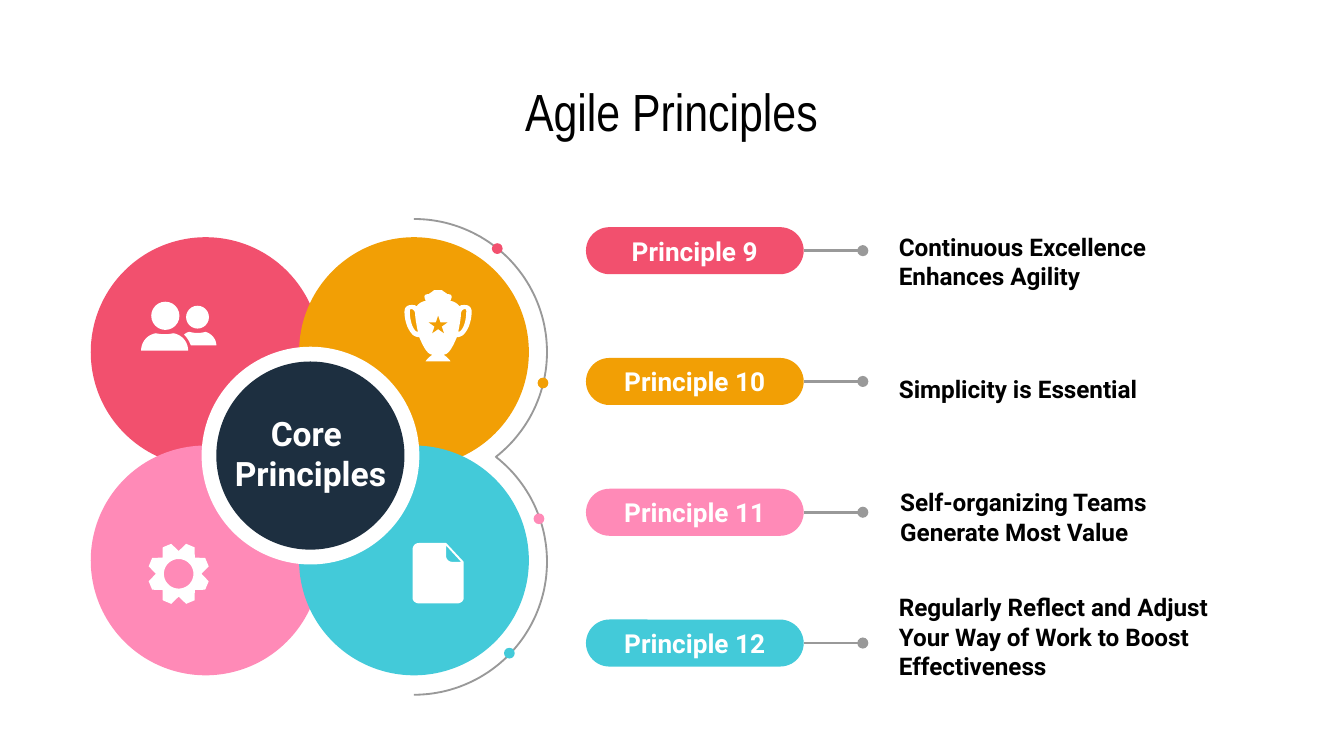
from math import cos, radians, sin

from lxml import etree
from pptx import Presentation
from pptx.dml.color import RGBColor
from pptx.enum.shapes import MSO_CONNECTOR, MSO_SHAPE
from pptx.enum.text import MSO_ANCHOR, PP_ALIGN
from pptx.oxml.ns import qn
from pptx.util import Inches, Pt

OVAL, PILL, STAR = MSO_SHAPE.OVAL, MSO_SHAPE.ROUNDED_RECTANGLE, MSO_SHAPE.STAR_5_POINT
STRAIGHT = MSO_CONNECTOR.STRAIGHT
LEFT, CENTER, MIDDLE = PP_ALIGN.LEFT, PP_ALIGN.CENTER, MSO_ANCHOR.MIDDLE

# Content
TITLE = "Agile Principles"
CORE = ["Core ", "Principles"]
# label, colour, description, description left and top, dot centre on the arc
PRINCIPLES = [
    ("Principle 9", "red", "Continuous Excellence Enhances Agility", (6.59, 1.69), (3.70, 1.85)),
    ("Principle 10", "orange", "Simplicity is Essential", (6.59, 2.64), (4.04, 2.85)),
    ("Principle 11", "pink", "Self-organizing Teams Generate Most Value", (6.60, 3.59), (4.01, 3.86)),
    ("Principle 12", "teal", "Regularly Reflect and Adjust Your Way of Work to Boost Effectiveness",
     (6.59, 4.48), (3.79, 4.86)),
]
COLORS = {"red": "F2506E", "orange": "F29F05", "pink": "FF8AB7", "teal": "43CAD9",
          "navy": "1D2F40", "gray": "999999", "white": "FFFFFF", "black": "000000"}
FONT, TITLE_FONT = "Roboto", "Arial Narrow"

# Geometry
PETAL_X, PETAL_Y, PETAL_D = (1.53, 3.08), (2.62, 4.17), 1.71
HUB = (2.31, 3.39)
ARC_R, ARC_SWEEP, ARC_MIDDLE = 0.99, 142, 3.4
PILL_X, PILL_Y, PILL_W, PILL_H = 4.36, 1.69, 1.62, 0.35
PITCH = (4.61 - PILL_Y) / (len(PRINCIPLES) - 1)
LINE_END = 6.42

# Icon outlines: a pair is a line to a point, six numbers are a curve
TROPHY_AXIS = 3.26
TROPHY_HALF = [(3.26, 2.16), (3.25, 2.16, 3.25, 2.16, 3.23, 2.16), (3.22, 2.17, 3.20, 2.18, 3.19, 2.19),
               (3.18, 2.19), (3.18, 2.19, 3.14, 2.19, 3.17, 2.24), (3.17, 2.24, 3.13, 2.24, 3.10, 2.28),
               (3.09, 2.27, 3.08, 2.27, 3.06, 2.27), (3.04, 2.27, 3.01, 2.28, 3.01, 2.32),
               (3.01, 2.38, 3.03, 2.45, 3.07, 2.49), (3.08, 2.50, 3.10, 2.51, 3.12, 2.51),
               (3.15, 2.58, 3.18, 2.64, 3.22, 2.64), (3.20, 2.65, 3.16, 2.69, 3.17, 2.69), (3.26, 2.69)]
HANDLE = [(3.06, 2.30), (3.07, 2.30, 3.09, 2.31, 3.09, 2.34), (3.09, 2.37, 3.10, 2.42, 3.11, 2.47),
          (3.08, 2.47, 3.05, 2.40, 3.05, 2.32), (3.05, 2.31, 3.05, 2.30, 3.06, 2.30)]
HEADS = [(1.23, 2.35, 0.21), (1.47, 2.36, 0.17)]
SHOULDERS = [
    [(1.16, 2.48), (1.10, 2.49, 1.05, 2.54, 1.05, 2.61), (1.40, 2.61),
     (1.40, 2.54, 1.35, 2.49, 1.29, 2.48), (1.25, 2.49, 1.20, 2.49, 1.16, 2.48)],
    [(1.41, 2.47), (1.40, 2.47, 1.38, 2.48, 1.37, 2.49), (1.39, 2.51, 1.41, 2.54, 1.42, 2.57),
     (1.61, 2.57), (1.61, 2.52, 1.57, 2.48, 1.53, 2.47), (1.49, 2.48, 1.45, 2.48, 1.41, 2.47)],
]
PAGE = [(3.12, 4.04), (3.09, 4.04, 3.07, 4.06, 3.07, 4.09), (3.07, 4.45),
        (3.07, 4.47, 3.09, 4.49, 3.12, 4.49), (3.40, 4.49), (3.43, 4.49, 3.45, 4.47, 3.45, 4.45),
        (3.45, 4.18), (3.32, 4.04)]
FOLD = [(3.32, 4.06), (3.43, 4.18), (3.36, 4.18), (3.34, 4.18, 3.32, 4.16, 3.32, 4.14)]
GEAR_CENTER, GEAR_HOLE = (1.33, 4.27), 0.11

prs = Presentation()
prs.slide_width = Inches(10)
prs.slide_height = prs.slide_width * 9 // 16
s = prs.slides.add_slide(prs.slide_layouts[5])


def rgb(name):
    return RGBColor.from_string(COLORS[name])


def paint(sp, color):
    sp.shadow.inherit = False
    sp.fill.solid()
    sp.fill.fore_color.rgb = rgb(color)
    sp.line.fill.background()
    return sp


def add_shape(kind, x, y, w, h, color):
    return paint(s.shapes.add_shape(kind, Inches(x), Inches(y), Inches(w), Inches(h)), color)


def add_circle(cx, cy, d, color):
    return add_shape(OVAL, cx - d / 2, cy - d / 2, d, d, color)


def write(sp, lines, size, color, align=CENTER, font=FONT, bold=True, spacing=None):
    tf = sp.text_frame
    tf.word_wrap, tf.vertical_anchor = True, MIDDLE
    tf.margin_left = tf.margin_right = tf.margin_top = tf.margin_bottom = Inches(0.1)
    for i, line in enumerate(lines):
        p = tf.add_paragraph() if i else tf.paragraphs[0]
        p.alignment, p.line_spacing = align, spacing
        r = p.add_run()
        r.text = line
        r.font.name, r.font.size, r.font.bold = font, Pt(size), bold
        r.font.color.rgb = rgb(color)


def add_text(x, y, w, h, *args, **kwargs):
    write(s.shapes.add_textbox(Inches(x), Inches(y), Inches(w), Inches(h)), *args, **kwargs)


def flatten(outline, steps=10):
    """Turn lines and Bezier curves into plain points."""
    points = [outline[0]]
    for seg in outline[1:]:
        if len(seg) == 2:
            points.append(seg)
            continue
        ctrl = [points[-1], seg[:2], seg[2:4], seg[4:]]
        for k in range(1, steps + 1):
            t = k / steps
            weights = ((1 - t) ** 3, 3 * t * (1 - t) ** 2, 3 * t * t * (1 - t), t ** 3)
            points.append(tuple(sum(w * c[axis] for w, c in zip(weights, ctrl)) for axis in (0, 1)))
    return points


def mirror(points, axis):
    return [(2 * axis - x, y) for x, y in reversed(points)]


def polar(center, radius, angle):
    return center[0] + radius * cos(radians(angle)), center[1] + radius * sin(radians(angle))


def add_outline(contours, close=True):
    """Later contours cut holes in the first."""
    scaled = [[(Inches(x), Inches(y)) for x, y in c] for c in contours]
    fb = s.shapes.build_freeform(*scaled[0][0])
    for i, c in enumerate(scaled):
        if i:
            fb.move_to(*c[0])
        fb.add_line_segments(c[1:], close=close)
    return fb.convert_to_shape()


# Title
title = s.shapes.title
title.left, title.top, title.width, title.height = Inches(3.12), Inches(0.59), Inches(3.75), Inches(0.53)
write(title, [TITLE], 28, "black", font=TITLE_FONT, bold=False, spacing=0.9)

# Petals, with the arc around the right-hand pair
for i, (_, color, *_) in enumerate(PRINCIPLES):
    add_circle(PETAL_X[i % 2], PETAL_Y[i // 2], PETAL_D, color)
upper = [polar((PETAL_X[1], PETAL_Y[0]), ARC_R, a - 90) for a in range(0, ARC_SWEEP + 1, 2)]
lower = [(x, 2 * ARC_MIDDLE - y) for x, y in reversed(upper)]
arc = add_outline([upper + lower], close=False)
arc.shadow.inherit = False
arc.fill.background()
arc.line.color.rgb, arc.line.width = rgb("gray"), Pt(1)

# Hub
add_circle(*HUB, 1.62, "white")
add_circle(*HUB, 1.4, "navy")
add_text(1.5, 3.07, 1.62, 0.6, CORE, 18, "white")

# Principles: arc dot, pill, leader line, description
for i, (label, color, description, at, dot) in enumerate(PRINCIPLES):
    add_circle(*dot, 0.08, color)
    pill = add_shape(PILL, PILL_X, PILL_Y + i * PITCH, PILL_W, PILL_H, color)
    pill.adjustments[0] = 0.5
    write(pill, [label], 14, "white")
    y = pill.top + pill.height // 2
    leader = s.shapes.add_connector(STRAIGHT, pill.left + pill.width, y, Inches(LINE_END), y)
    leader.begin_connect(pill, 3)
    leader.line.color.rgb, leader.line.width = rgb("gray"), Pt(1.5)
    etree.SubElement(leader.line._get_or_add_ln(), qn("a:tailEnd"), type="oval")
    etree.SubElement(leader._element.spPr, qn("a:effectLst"))
    add_text(*at, 2.8, 0.51, [description], 13, "black", align=LEFT)

# People icon
for head in HEADS:
    add_circle(*head, "white")
for shoulders in SHOULDERS:
    paint(add_outline([flatten(shoulders)]), "white")

# Trophy icon
half, handle = flatten(TROPHY_HALF), flatten(HANDLE)
paint(add_outline([half + mirror(half, TROPHY_AXIS), handle, mirror(handle, TROPHY_AXIS)]), "white")
add_shape(STAR, 3.19, 2.35, 0.14, 0.13, "orange")

# Gear icon: eight notches, each between two tooth corners
gear = [polar(GEAR_CENTER, radius, notch + turn) for notch in range(0, 360, 45)
        for radius, turn in ((0.23, -14), (0.17, 0), (0.23, 14))]
hole = [polar(GEAR_CENTER, GEAR_HOLE, -a) for a in range(0, 360, 10)]
paint(add_outline([gear, hole]), "white")

# Document icon
paint(add_outline([flatten(PAGE), flatten(FOLD)]), "white")

prs.save("out.pptx")
